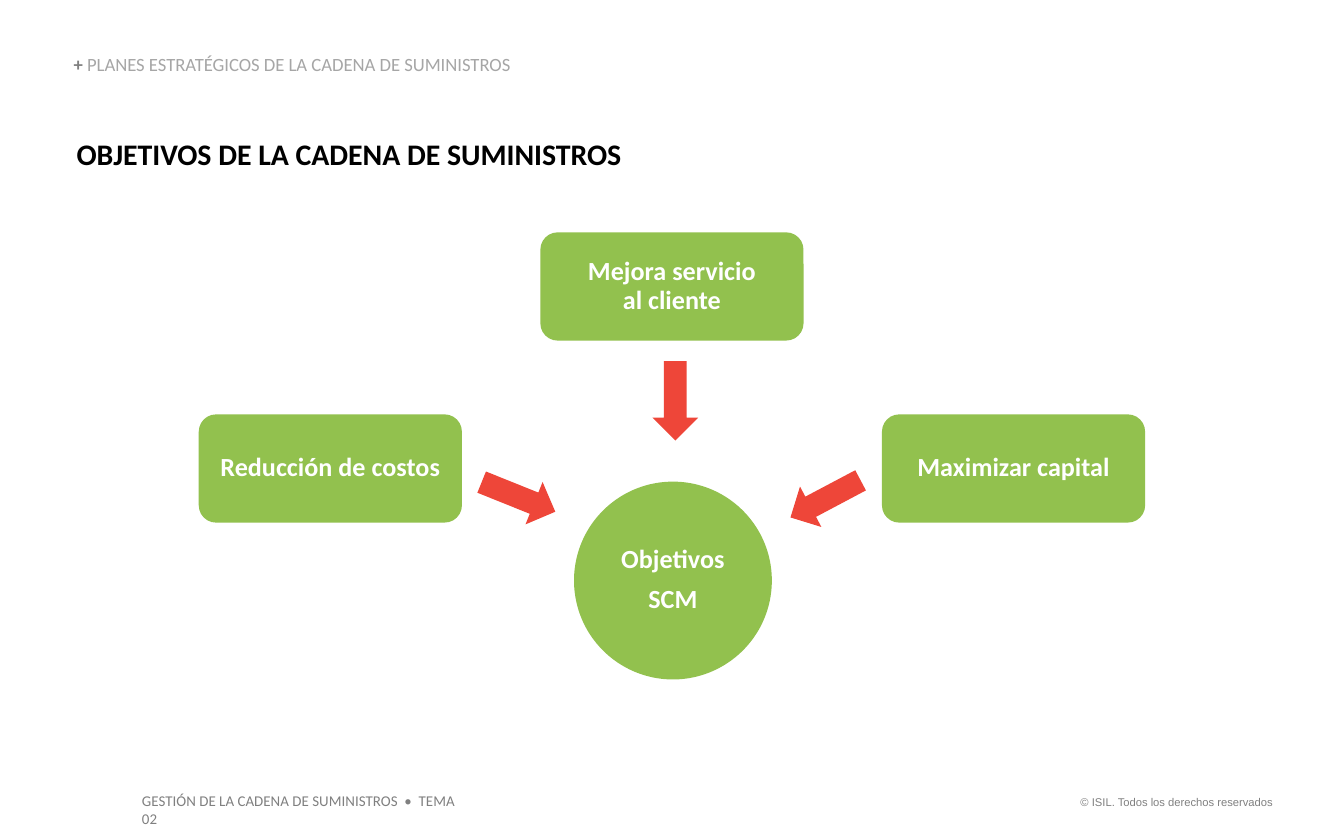
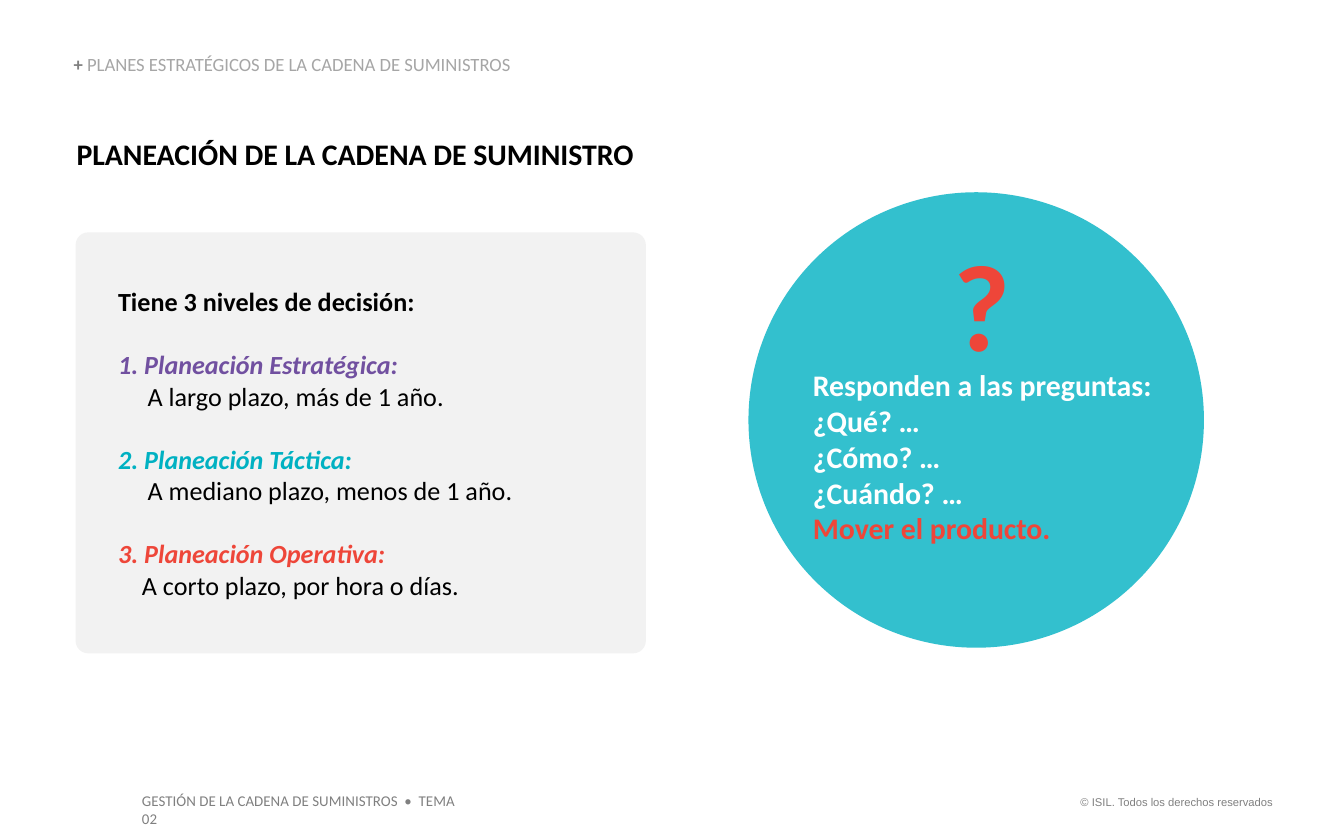
from pptx import Presentation
from pptx.dml.color import RGBColor
from pptx.enum.shapes import MSO_SHAPE
from pptx.enum.text import MSO_ANCHOR, MSO_AUTO_SIZE, PP_ALIGN
from pptx.oxml.ns import qn
from pptx.util import Pt
from lxml import etree

LEFT, CENTER, RIGHT = PP_ALIGN.LEFT, PP_ALIGN.CENTER, PP_ALIGN.RIGHT
TOP, MIDDLE, BOTTOM = MSO_ANCHOR.TOP, MSO_ANCHOR.MIDDLE, MSO_ANCHOR.BOTTOM
NO_AUTOFIT = MSO_AUTO_SIZE.NONE
ROUNDED, OVAL, ARROW = (
    MSO_SHAPE.ROUNDED_RECTANGLE, MSO_SHAPE.OVAL, MSO_SHAPE.RIGHT_ARROW)

BLACK = RGBColor(0x00, 0x00, 0x00)
WHITE = RGBColor(0xFF, 0xFF, 0xFF)
GRAY = RGBColor(0x80, 0x80, 0x80)
LIGHT_GRAY = RGBColor(0xA6, 0xA6, 0xA6)
PANEL_GRAY = RGBColor(0xF2, 0xF2, 0xF2)
GREEN = RGBColor(0x92, 0xC1, 0x4E)
RED = RGBColor(0xEE, 0x46, 0x39)
TEAL = RGBColor(0x00, 0xB1, 0xC2)
PURPLE = RGBColor(0x71, 0x50, 0xA0)

SECTION = "PLANES ESTRATÉGICOS DE LA CADENA DE SUMINISTROS"
COURSE = "GESTIÓN DE LA CADENA DE SUMINISTROS  •  TEMA 02"
COPYRIGHT = "© ISIL. Todos los derechos reservados"


class SlideBuilder:
    font_name = "Calibri"

    def __init__(self, deck):
        self.deck = deck
        self.slide = None

    def new_slide(self, title):
        """Add a slide with its section line, title and footers."""
        layout = self.deck.slide_layouts.get_by_name("Title and Content")
        self.slide = self.deck.slides.add_slide(layout)
        heading = self.slide.shapes.title
        self.place(heading, 41, 72.5, 320, 19.5)
        self.prepare(heading.text_frame)
        self.paragraph(heading.text_frame, title, 16, BLACK, bold=True)
        self.section_line()
        self.text_box(567.5, 422.5, 121.5, 14.5, [COPYRIGHT], 6, GRAY,
                      align=RIGHT, margins=(7.2, 3.6), font_name="Arial")
        self.text_box(69, 420.5, 191.5, 17.5, [COURSE], 8, GRAY,
                      margins=(7.2, 3.6))

    def section_line(self):
        body = self.slide.placeholders[1]
        self.place(body, 39.5, 29.5, 335, 11)
        self.prepare(body.text_frame, BOTTOM)
        para = self.paragraph(body.text_frame, "+ ", 10, GRAY, bold=True,
                              spacing=0.9, indent=0)
        etree.SubElement(para._p.get_or_add_pPr(), qn("a:buNone"))
        span = para.add_run()
        span.text = SECTION
        self.format_run(span, 10, LIGHT_GRAY)

    def place(self, shape, left, top, width, height):
        shape.left, shape.top = Pt(left), Pt(top)
        shape.width, shape.height = Pt(width), Pt(height)

    def prepare(self, frame, anchor=TOP, margins=(0, 0)):
        frame.word_wrap = True
        frame.auto_size = NO_AUTOFIT
        frame.vertical_anchor = anchor
        frame.margin_left = frame.margin_right = Pt(margins[0])
        frame.margin_top = frame.margin_bottom = Pt(margins[1])

    def format_run(self, span, size, color, bold=False, italic=False,
                   font_name=None):
        font = span.font
        font.name = font_name or self.font_name
        font.size = Pt(size)
        font.bold, font.italic = bold, italic
        font.color.rgb = color

    def paragraph(self, frame, text, size, color, align=LEFT, spacing=1.0,
                  before=0, indent=None, **style):
        """Fill the first paragraph if it is empty, otherwise add one."""
        para = frame.paragraphs[0] if not frame.text else frame.add_paragraph()
        para.text = text
        para.alignment = align
        para.line_spacing = spacing
        para.space_before = Pt(before)
        if indent is not None:
            properties = para._p.get_or_add_pPr()
            properties.set("marL", str(Pt(indent)))
            properties.set("indent", "0")
        for span in para.runs:
            self.format_run(span, size, color, **style)
        return para

    def text_box(self, left, top, width, height, lines, size, color,
                 margins=(0, 0), **style):
        box = self.slide.shapes.add_textbox(
            Pt(left), Pt(top), Pt(width), Pt(height))
        self.prepare(box.text_frame, margins=margins)
        for line in lines:
            self.paragraph(box.text_frame, line, size, color, **style)
        return box

    def shape(self, kind, left, top, width, height, fill, corner=None,
              rotation=0, opacity=None):
        shape = self.slide.shapes.add_shape(
            kind, Pt(left), Pt(top), Pt(width), Pt(height))
        shape.shadow.inherit = False
        shape.fill.solid()
        shape.fill.fore_color.rgb = fill
        shape.line.fill.background()
        shape.rotation = rotation
        if corner is not None:
            shape.adjustments[0] = corner
        if opacity is not None:
            color = shape.fill._xPr.find(".//" + qn("a:srgbClr"))
            etree.SubElement(color, qn("a:alpha"), val=str(opacity * 1000))
        return shape

    def label(self, shape, lines):
        """Centre white bold lines inside a shape."""
        frame = shape.text_frame
        self.prepare(frame, MIDDLE, (3, 3))
        for index, line in enumerate(lines):
            self.paragraph(frame, line, 14, WHITE, align=CENTER, spacing=0.9,
                           before=6.3 if index else 0, bold=True)


def build_objectives(builder):
    builder.new_slide("OBJETIVOS DE LA CADENA DE SUMINISTROS")
    for left, top, rotation in (
            (256.5, 254, 21.9), (421, 255, 152.1), (340.5, 202.5, 90)):
        builder.shape(ARROW, left, top, 42.5, 24.5, RED, rotation=rotation)
    center = builder.shape(OVAL, 307.5, 258, 106, 106, GREEN)
    builder.label(center, ["Objetivos", "SCM"])
    for left, top, text in (
            (106.5, 222, "Reducción de costos"),
            (472.5, 222, "Maximizar capital"),
            (289.5, 124.5, "Mejora servicio\val cliente")):
        card = builder.shape(ROUNDED, left, top, 141, 58, GREEN, corner=0.16)
        builder.label(card, [text])


def build_planning(builder):
    builder.new_slide("PLANEACIÓN DE LA CADENA DE SUMINISTRO")
    builder.shape(OVAL, 401, 103, 244, 244, TEAL, opacity=80)
    questions = builder.text_box(
        435.5, 196.5, 186.5, 97,
        ["Responden a las preguntas:", "¿Qué? …", "¿Cómo? …", "¿Cuándo? …"],
        16, WHITE, bold=True)
    builder.paragraph(questions.text_frame, "Mover el producto.", 16, RED,
                      bold=True)
    builder.text_box(511, 122.5, 34, 80, ["?"], 66, RED, bold=True)

    panel = builder.shape(ROUNDED, 40.5, 124.5, 305.5, 225.5, PANEL_GRAY,
                          corner=0.03)
    frame = panel.text_frame
    builder.prepare(frame, MIDDLE, (7.2, 3.6))
    builder.paragraph(frame, "Tiene 3 niveles de decisión:", 14, BLACK,
                      indent=13.7, bold=True)
    levels = (
        ("1. Planeación Estratégica:", PURPLE,
         "A largo plazo, más de 1 año.", 29.5),
        ("2. Planeación Táctica:", TEAL,
         "A mediano plazo, menos de 1 año.", 29.5),
        ("3. Planeación Operativa:", RED,
         "A corto plazo, por hora o días.", 26.5))
    for name, color, horizon, indent in levels:
        builder.paragraph(frame, name, 14, color, before=17, indent=13.7,
                          bold=True, italic=True)
        builder.paragraph(frame, horizon, 14, BLACK, indent=indent)


def main():
    deck = Presentation()
    deck.slide_width, deck.slide_height = Pt(720), Pt(450)
    builder = SlideBuilder(deck)
    build_objectives(builder)
    build_planning(builder)
    deck.save("out.pptx")


if __name__ == "__main__":
    main()
